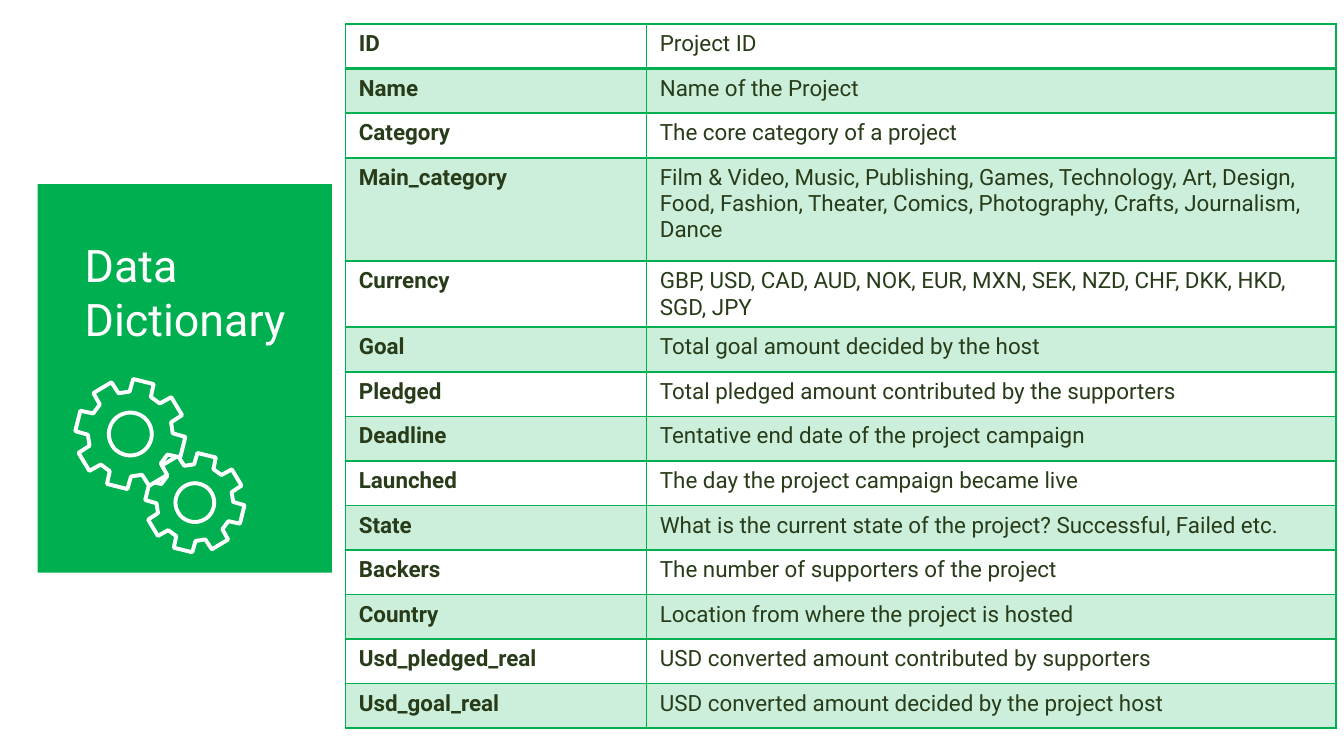
"""Build a data dictionary slide with a green title panel and a field table."""
from dataclasses import dataclass
from math import cos, radians, sin

from lxml.etree import SubElement
from pptx import Presentation
from pptx.dml.color import RGBColor as Rgb
from pptx.enum.shapes import MSO_SHAPE as Shape
from pptx.enum.text import MSO_ANCHOR as Anchor, MSO_AUTO_SIZE as AutoSize, PP_ALIGN as Align
from pptx.oxml.ns import qn
from pptx.util import Inches, Pt


@dataclass(frozen=True)
class Theme:
    font: str = "Roboto"
    green: str = "00B050"
    ink: str = "283C19"
    white: str = "FFFFFF"
    title_size: int = 24
    cell_size: int = 12
    gear_line: float = 2.1
    band_alpha: int = 20


THEME = Theme()
FIELDS = [
    ("ID", "Project ID"),
    ("Name", "Name of the Project"),
    ("Category", "The core category of a project"),
    ("Main_category", "Film & Video, Music, Publishing, Games, Technology, Art, Design, "
                      "Food, Fashion, Theater, Comics, Photography, Crafts, Journalism, Dance"),
    ("Currency", "GBP, USD, CAD, AUD, NOK, EUR, MXN, SEK, NZD, CHF, DKK, HKD, SGD, JPY"),
    ("Goal", "Total goal amount decided by the host"),
    ("Pledged", "Total pledged amount contributed by the supporters"),
    ("Deadline", "Tentative end date of the project campaign"),
    ("Launched", "The day the project campaign became live"),
    ("State", "What is the current state of the project? Successful, Failed etc."),
    ("Backers", "The number of supporters of the project"),
    ("Country", "Location from where the project is hosted"),
    ("Usd_pledged_real", "USD converted amount contributed by supporters"),
    ("Usd_goal_real", "USD converted amount decided by the project host"),
]
TABLE_HEIGHT = 5.24
TALL_ROWS = {"Main_category": 0.77, "Currency": 0.49}


def add_run(paragraph, text, size, color, bold=False):
    """Add one styled run to a paragraph."""
    run = paragraph.add_run()
    run.text = text
    run.font.name = THEME.font
    run.font.size = Pt(size)
    run.font.bold = bold
    run.font.color.rgb = Rgb.from_string(color)


def add_panel(slide):
    """Place the green panel behind the title."""
    panel = slide.shapes.add_shape(
        Shape.RECTANGLE, Inches(0.28), Inches(1.37), Inches(2.19), Inches(2.89))
    panel.shadow.inherit = False
    panel.fill.solid()
    panel.fill.fore_color.rgb = Rgb.from_string(THEME.green)
    panel.line.fill.background()
    slide.shapes.title.element.addprevious(panel.element)


def set_title(title, text):
    """Move the title placeholder onto the panel and fill it."""
    title.left, title.top = Inches(0.53), Inches(1.77)
    title.width, title.height = Inches(1.7), Inches(0.9)
    frame = title.text_frame
    frame.word_wrap = True
    frame.auto_size = AutoSize.NONE
    frame.vertical_anchor = Anchor.BOTTOM
    frame.margin_left = frame.margin_right = Inches(0.1)
    frame.margin_top = frame.margin_bottom = Inches(0.1)
    frame.paragraphs[0].alignment = Align.LEFT
    add_run(frame.paragraphs[0], text, THEME.title_size, THEME.white)


def set_borders(cell, bottom_width):
    """Draw green lines on the four sides of a cell."""
    widths = {"a:lnL": 1, "a:lnR": 1, "a:lnT": 1, "a:lnB": bottom_width}
    properties = cell._tc.get_or_add_tcPr()
    for position, (side, width) in enumerate(widths.items()):
        line = SubElement(properties, qn(side), w=str(Pt(width)))
        SubElement(SubElement(line, qn("a:solidFill")), qn("a:srgbClr"), val=THEME.green)
        properties.insert(position, line)


def set_band(cell, tinted):
    """Tint a cell with translucent green or leave it clear."""
    if not tinted:
        cell.fill.background()
        return
    cell.fill.solid()
    cell.fill.fore_color.rgb = Rgb.from_string(THEME.green)
    color = next(cell._tc.tcPr.find(qn("a:solidFill")).iter(qn("a:srgbClr")))
    SubElement(color, qn("a:alpha"), val=str(THEME.band_alpha * 1000))


def add_dictionary(slide):
    """Add the table of field names and meanings."""
    table = slide.shapes.add_table(
        len(FIELDS), 2, Inches(2.57), Inches(0.18), Inches(7.37), Inches(TABLE_HEIGHT)).table
    table.first_row = table.horz_banding = False
    for column, width in zip(table.columns, (2.24, 5.13)):
        column.width = Inches(width)
    plain_height = (TABLE_HEIGHT - sum(TALL_ROWS.values())) / (len(FIELDS) - len(TALL_ROWS))
    for index, field in enumerate(FIELDS):
        table.rows[index].height = Inches(TALL_ROWS.get(field[0], plain_height))
        for column, text in enumerate(field):
            cell = table.cell(index, column)
            set_band(cell, index % 2 == 1)
            set_borders(cell, 2 if index == 0 else 1)
            add_run(cell.text_frame.paragraphs[0], text, THEME.cell_size, THEME.ink, column == 0)


def ring_points(center, polar):
    """Turn (radius, degrees) pairs around a center into slide points."""
    x, y = center
    return [(Inches(x + r * cos(radians(a))), Inches(y + r * sin(radians(a)))) for r, a in polar]


def add_gear(group, center, radius, teeth=8, tilt=14):
    """Add a toothed wheel with a round hole."""
    root, hole = radius * 0.77, radius * 0.39
    tooth = ((root, -15), (radius, -11), (radius, 11), (root, 15))
    rim = ring_points(center, [(r, tilt + a + step * 360 / teeth)
                               for step in range(teeth) for r, a in tooth])
    bore = ring_points(center, [(hole, -a) for a in range(0, 360, 10)])
    builder = group.shapes.build_freeform(*rim[0])
    builder.add_line_segments(rim[1:], close=True)
    builder.move_to(*bore[0])
    builder.add_line_segments(bore[1:], close=True)
    gear = builder.convert_to_shape()
    gear.shadow.inherit = False
    gear.fill.solid()
    gear.fill.fore_color.rgb = Rgb.from_string(THEME.green)
    gear.line.color.rgb = Rgb.from_string(THEME.white)
    gear.line.width = Pt(THEME.gear_line)


def main():
    """Build and save the slide."""
    deck = Presentation()
    deck.slide_width = Inches(10)
    deck.slide_height = deck.slide_width * 9 // 16
    slide = deck.slides.add_slide(deck.slide_layouts[0])
    subtitle = slide.placeholders[1].element
    subtitle.getparent().remove(subtitle)
    add_panel(slide)
    set_title(slide.shapes.title, "Data Dictionary")
    add_dictionary(slide)
    gears = slide.shapes.add_group_shape()
    add_gear(gears, (1.45, 3.74), 0.37)
    add_gear(gears, (0.97, 3.23), 0.41)
    deck.save("out.pptx")


if __name__ == "__main__":
    main()
